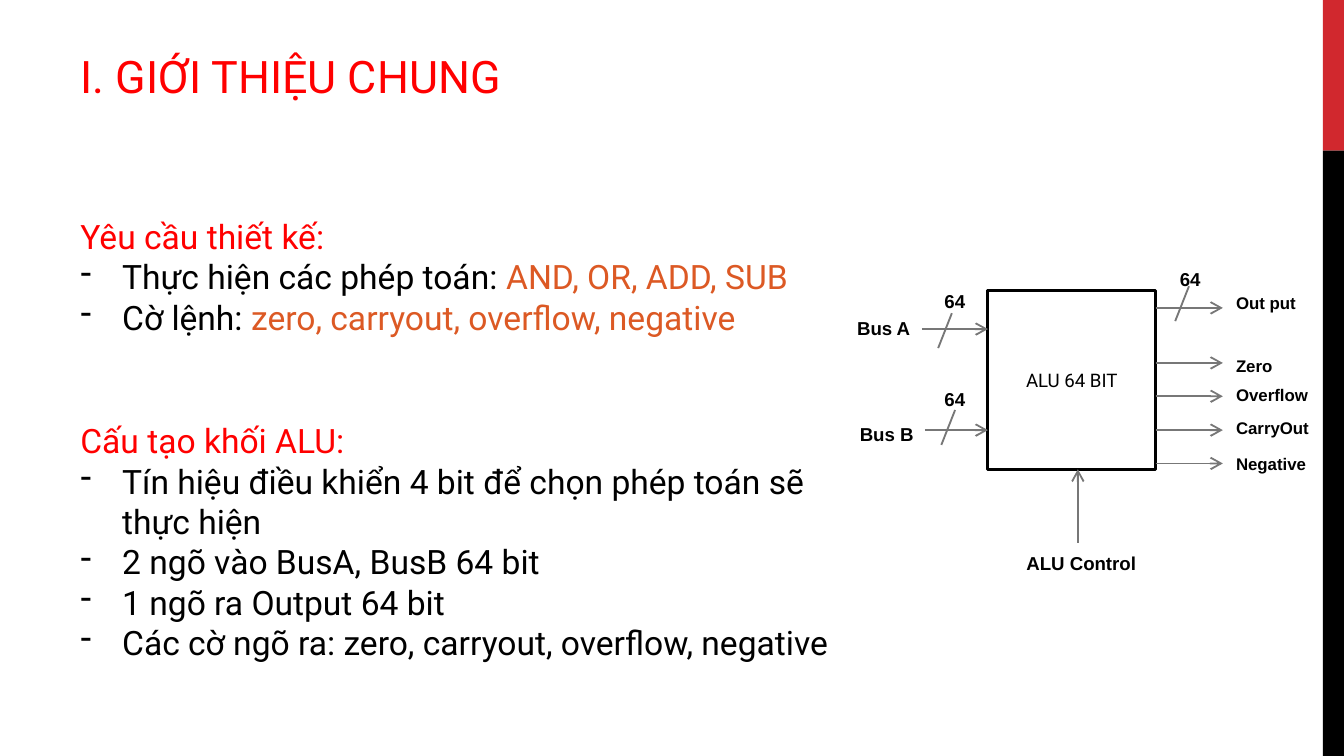
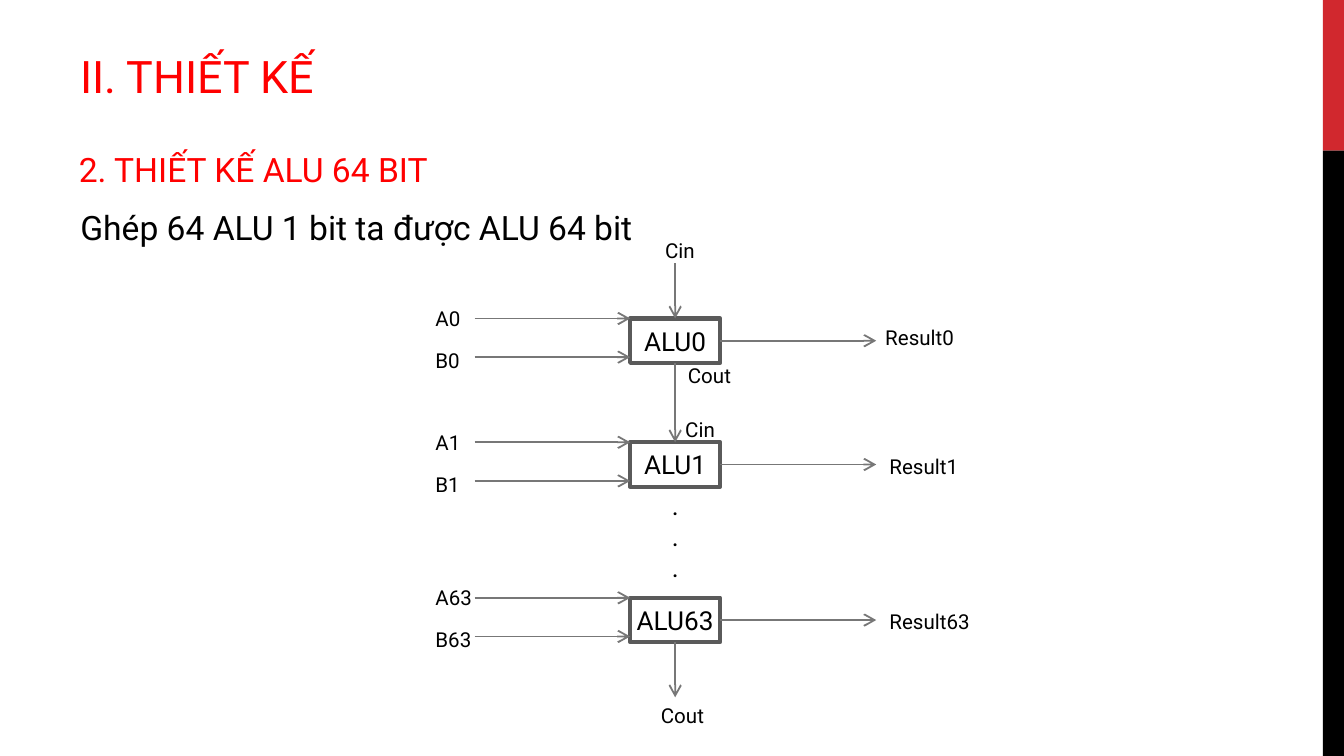
import pptx
import pptx.dml.color
import pptx.enum.shapes
import pptx.enum.text
import pptx.oxml.ns
import pptx.util
from lxml import etree

Cm, Pt = pptx.util.Cm, pptx.util.Pt
SHAPE = pptx.enum.shapes.MSO_SHAPE
ALIGN = pptx.enum.text.PP_ALIGN
ANCHOR = pptx.enum.text.MSO_ANCHOR
AUTO_SIZE = pptx.enum.text.MSO_AUTO_SIZE


class Theme:
    red, black, orange = "FF0000", "000000", "DC5924"
    band, box_line, arrow = "D1282E", "5A5A5A", "777777"
    font, label_font = "Roboto", "Arial"
    title, body, box, port, bus, flag = 24, 18, 14, 11, 10, 9


# Content; all positions and sizes are in centimetres.
BANDS = [(0, 2.85, Theme.band), (2.85, 11.44, Theme.black)]  # top, height, colour

# heading, position and size, bulleted items made of (text, colour) runs
REQUIREMENTS = ("Yêu cầu thiết kế:", (1.27, 3.96, 14.68, 2.57), [
    [("Thực hiện các phép toán: ", Theme.black), ("AND, OR, ADD, SUB", Theme.orange)],
    [("Cờ lệnh: ", Theme.black), ("zero, carryout, overflow, negative", Theme.orange)],
])
STRUCTURE = ("Cấu tạo khối ALU:", (1.27, 7.82, 15.57, 5.64), [
    [("Tín hiệu điều khiển 4 bit để chọn phép toán sẽ\nthực hiện", Theme.black)],
    [("2 ngõ vào BusA, BusB 64 bit", Theme.black)],
    [("1 ngõ ra Output 64 bit", Theme.black)],
    [("Các cờ ngõ ra: zero, carryout, overflow, negative", Theme.black)],
])

ALU_BOX = (18.67, 5.49, 3.17, 3.38)
# text, arrow y, label top, label width
OUTPUTS = [
    ("Out put", 5.82, 5.41, 1.65),
    ("Zero", 6.86, 6.6, 1.22),
    ("Overflow", 7.49, 7.14, 1.88),
    ("CarryOut", 8.13, 7.77, 1.9),
    ("Negative", 8.76, 8.46, 1.85),
]
# text, arrow start, arrow y, label left, label top
INPUTS = [("Bus A", 17.42, 6.22, 15.95, 5.87), ("Bus B", 17.48, 8.13, 16, 7.87)]
# centre of the slash, left and top of its "64"
BUS_WIDTHS = [(17.86, 6.25, 17.6, 5.36), (17.92, 8.08, 17.6, 7.21), (22.34, 5.74, 22.05, 4.93)]

# bit, box top, result left, result top, operand width, result width
STAGES = [
    (0, 6.02, 16.48, 6.02, 0.99, 1.88),
    (1, 8.36, 16.56, 8.46, 0.99, 1.88),
    (63, 11.3, 16.56, 11.38, 1.23, 2.11),
]
STAGE_LEFT, STAGE_W, STAGE_H = 11.91, 1.7, 0.84
CARRIES = [
    ("Cin", 12.32, 4.37, 1.22),
    ("Cout", 12.75, 6.73, 1.45),
    ("Cin", 12.7, 7.75, 1.09),
    ("Cout", 12.24, 13.16, 1.45),
]


def rgb(color):
    return pptx.dml.color.RGBColor.from_string(color)


def cm(*lengths):
    return [Cm(length) for length in lengths]


def write(p, text, size=Theme.body, color=Theme.black, font=Theme.font, bold=False):
    """Add text to a paragraph, with a line break at each newline."""
    for i, line in enumerate(text.split("\n")):
        if i:
            p.add_line_break()
        r = p.add_run()
        r.text = line
        r.font.name, r.font.size, r.font.bold = font, Pt(size), bold
        r.font.color.rgb = rgb(color)


def next_paragraph(tf, first):
    return tf.paragraphs[0] if first else tf.add_paragraph()


def fit(tf):
    tf.word_wrap = False
    tf.auto_size = AUTO_SIZE.SHAPE_TO_FIT_TEXT
    tf.vertical_anchor = ANCHOR.TOP


def add_text(s, text, x, y, w, h, **style):
    """Add a text box with one paragraph for each line of text."""
    tf = s.shapes.add_textbox(*cm(x, y, w, h)).text_frame
    fit(tf)
    for i, line in enumerate(text.split("\n")):
        write(next_paragraph(tf, i == 0), line, **style)


def add_bullets(s, heading, place, items):
    tf = s.shapes.add_textbox(*cm(*place)).text_frame
    fit(tf)
    write(tf.paragraphs[0], heading, color=Theme.red)
    for runs in items:
        p = tf.add_paragraph()
        pPr = p._p.get_or_add_pPr()
        pPr.set("marL", str(Cm(0.79)))
        pPr.set("indent", str(-Cm(0.79)))
        etree.SubElement(pPr, pptx.oxml.ns.qn("a:buChar")).set("char", "-")
        for text, color in runs:
            write(p, text, color=color)


def add_line(s, x1, y1, x2, y2, arrow=True, begin=None, end=None):
    """Draw a line; begin and end are optional (shape, side) pairs to join."""
    line = s.shapes.add_connector(
        pptx.enum.shapes.MSO_CONNECTOR.STRAIGHT, *cm(x1, y1, x2, y2))
    if begin:
        line.begin_connect(*begin)
    if end:
        line.end_connect(*end)
    line.line.color.rgb = rgb(Theme.arrow)
    line.line.width = Pt(1)
    spPr = line.element.spPr
    if arrow:
        ln = spPr.find(pptx.oxml.ns.qn("a:ln"))
        etree.SubElement(ln, pptx.oxml.ns.qn("a:tailEnd")).set("type", "arrow")
    etree.SubElement(spPr, pptx.oxml.ns.qn("a:effectLst"))


def add_box(s, text, place, size, line_color, line_width):
    sp = s.shapes.add_shape(SHAPE.FLOWCHART_PROCESS, *cm(*place))
    sp.shadow.inherit = False
    sp.fill.background()
    sp.line.color.rgb = rgb(line_color)
    sp.line.width = Pt(line_width)
    tf = sp.text_frame
    tf.word_wrap = False
    tf.margin_left = tf.margin_right = tf.margin_top = tf.margin_bottom = 0
    tf.vertical_anchor = ANCHOR.MIDDLE
    tf.paragraphs[0].alignment = ALIGN.CENTER
    write(tf.paragraphs[0], text, size=size)
    return sp


def add_slide(prs, title, width):
    s = prs.slides.add_slide(prs.slide_layouts[5])
    sp = s.shapes.title
    sp.left, sp.top, sp.width, sp.height = cm(1.27, 0.79, width, 1.27)
    fit(sp.text_frame)
    p = sp.text_frame.paragraphs[0]
    p.alignment = ALIGN.LEFT
    write(p, title, size=Theme.title, color=Theme.red)
    return s


def move_bands_to_layout(s):
    """Draw the side bands and hand them to the layout all slides share."""
    for top, height, color in BANDS:
        band = s.shapes.add_shape(SHAPE.RECTANGLE, *cm(25, top, 0.4, height))
        band.shadow.inherit = False
        band.fill.solid()
        band.fill.fore_color.rgb = rgb(color)
        band.line.fill.background()
        s.slide_layout.shapes.element.append(band.element)


def build_overview(s):
    add_bullets(s, *REQUIREMENTS)
    add_bullets(s, *STRUCTURE)
    add_box(s, "ALU 64 BIT", ALU_BOX, Theme.bus, Theme.black, 1.75)
    left, top, width, height = ALU_BOX
    right = left + width
    flag = dict(size=Theme.flag, font=Theme.label_font, bold=True)
    bus = dict(flag, size=Theme.bus)
    for text, y, label_top, label_w in OUTPUTS:
        add_line(s, right, y, right + 1.27, y)
        add_text(s, text, right + 1.27, label_top, label_w, 0.63, **flag)
    for text, start, y, label_left, label_top in INPUTS:
        add_line(s, start, y, left, y)
        add_text(s, text, label_left, label_top, 1.55, 0.69, **bus)
    for x, y, label_left, label_top in BUS_WIDTHS:
        add_line(s, x - 0.13, y + 0.33, x + 0.13, y - 0.33, arrow=False)
        add_text(s, "64", label_left, label_top, 0.91, 0.69, **bus)
    add_line(s, 20.37, 10.26, 20.37, top + height)
    add_text(s, "ALU Control", 19.15, 10.31, 2.62, 0.69, **bus)


def build_chain(s):
    add_text(s, "2. THIẾT KẾ ALU 64 BIT", 1.24, 2.69, 7.75, 1.02, color=Theme.red)
    add_text(s, "Ghép 64 ALU 1 bit ta được ALU 64 bit", 1.27, 3.78, 11.58, 1.02)
    boxes = []
    for bit, top, result_left, result_top, operand_w, result_w in STAGES:
        box = add_box(s, f"ALU{bit}", (STAGE_LEFT, top, STAGE_W, STAGE_H),
                      Theme.box, Theme.box_line, 2.25)
        boxes.append(box)
        for name, arrow_dy, label_dy in [("A", 0, -0.36), ("B", 0.73, 0.43)]:
            add_line(s, 8.97, top + arrow_dy, STAGE_LEFT, top + arrow_dy)
            add_text(s, f"{name}{bit}", 7.98, top + label_dy, operand_w, 0.74,
                     size=Theme.port)
        middle = top + STAGE_H / 2
        add_line(s, STAGE_LEFT + STAGE_W, middle, 16.56, middle, begin=(box, 3))
        add_text(s, f"Result{bit}", result_left, result_top, result_w, 0.74, size=Theme.port)
    first, second, last = boxes
    x = STAGE_LEFT + STAGE_W / 2
    add_line(s, x, 4.98, x, 6.02, end=(first, 0))
    add_line(s, x, 6.86, x, 8.36, begin=(first, 2), end=(second, 0))
    add_line(s, x, 12.14, x, 13.18, begin=(last, 2))
    add_text(s, ".\n.\n.", 12.45, 9.12, 0.69, 2.06, size=Theme.box)
    for text, left, top, width in CARRIES:
        add_text(s, text, left, top, width, 0.74, size=Theme.port)


def main():
    prs = pptx.Presentation()
    prs.slide_width, prs.slide_height = cm(25.4, 14.29)
    overview = add_slide(prs, "I. GIỚI THIỆU CHUNG", 8.74)
    move_bands_to_layout(overview)
    build_overview(overview)
    build_chain(add_slide(prs, "II. THIẾT KẾ", 5.44))
    prs.save("out.pptx")


if __name__ == "__main__":
    main()
